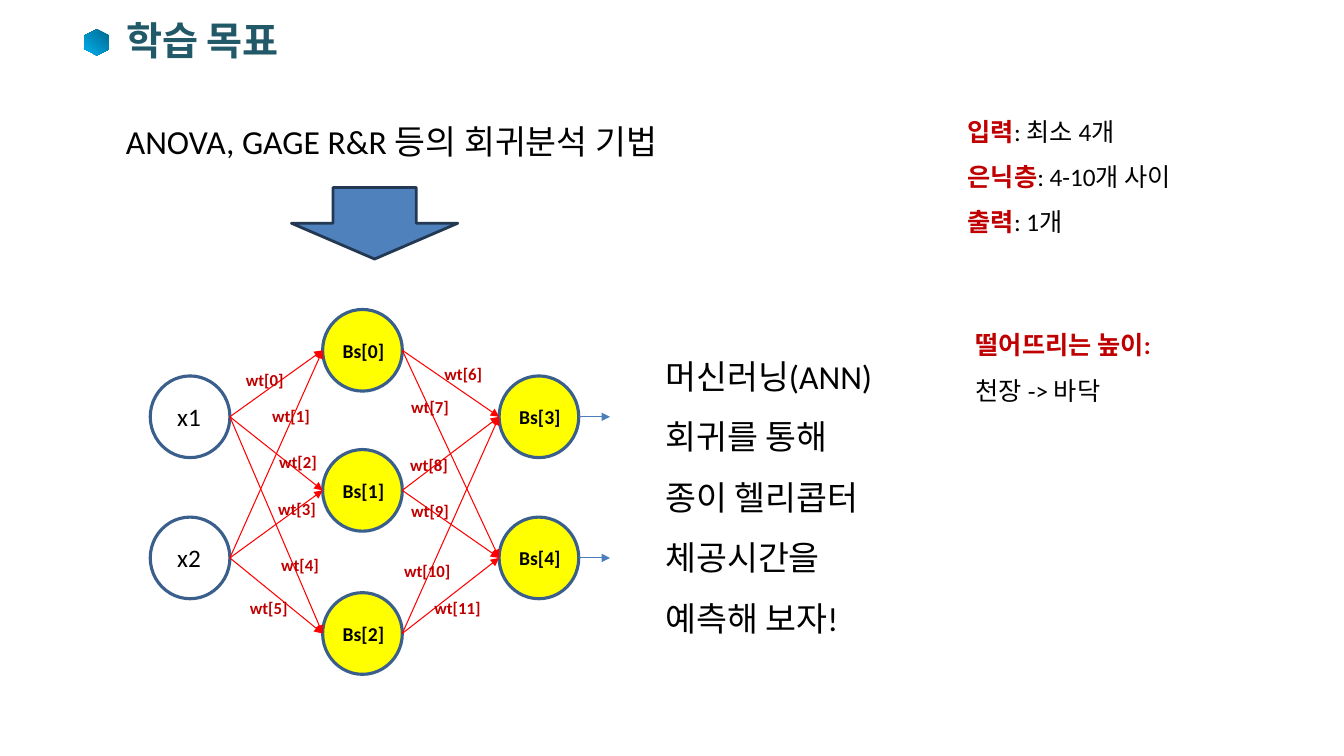
from itertools import product
from lxml.etree import SubElement
from pptx import Presentation
from pptx.dml.color import RGBColor
from pptx.enum.shapes import MSO_CONNECTOR, MSO_SHAPE
from pptx.enum.text import MSO_ANCHOR, MSO_AUTO_SIZE, PP_ALIGN
from pptx.oxml.ns import qn
from pptx.util import Inches, Pt

HUES = {"ink": "000000", "title": "215968", "key": "C00000", "wire": "FF0000",
        "out": "4B7EBC", "ring": "3A5F8C", "node": "FFFF00", "arrow": "4F81BD",
        "edge": "233953", "dark": "00688E", "light": "00B0F0"}
BODY, HEAD = "Calibri", "Noto Sans CJK KR"

TITLE = "학습 목표"
NOTES = [
    ((1.15, 1.15, 7.09, 0.5), 24, 1, [[("ANOVA, GAGE R&R 등의 회귀분석 기법", "ink")]]),
    ((6.5, 3.28, 2.68, 3.06), 24, 1.5, [
        [("머신러닝(ANN)", "ink")], [("회귀를 통해", "ink")], [("종이 헬리콥터", "ink")],
        [("체공시간을", "ink")], [("예측해 보자!", "ink")]]),
    ((9.5, 0.95, 2.67, 1.41), 18, 1.5, [
        [("입력", "key"), (": 최소 4개", "ink")],
        [("은닉층", "key"), (": 4-10개 사이", "ink")],
        [("출력", "key"), (": 1개", "ink")]]),
    ((9.58, 3.07, 2.67, 0.96), 18, 1.5, [
        [("떨어뜨리는 높이:", "key")], [("천장 -> 바닥", "ink")]]),
]
WIDE, HIGH = 0.79, 0.81
LAYERS = [
    (1.49, [3.73, 5.13], ["x1", "x2"]),
    (3.2, [3.07, 4.46, 5.88], ["Bs[0]", "Bs[1]", "Bs[2]"]),
    (4.95, [3.73, 5.13], ["Bs[3]", "Bs[4]"]),
]
WEIGHTS = [(2.34, 3.62), (2.6, 3.98), (2.67, 4.43), (2.66, 4.9), (2.69, 5.45), (2.38, 5.88),
           (4.31, 3.56), (3.98, 3.89), (3.97, 4.46), (3.98, 4.92), (3.91, 5.51), (4.21, 5.88)]

deck = Presentation()
deck.slide_width, deck.slide_height = Inches(13.33), Inches(7.5)
slide = deck.slides.add_slide(deck.slide_layouts[5])
shapes = slide.shapes


def hue(name):
    return RGBColor.from_string(HUES[name])


def inch(box):
    return [Inches(v) for v in box]


def write(para, text, size, color, bold=False, face=BODY):
    run = para.add_run()
    run.text = text
    font = run.font
    font.size, font.bold, font.name = Pt(size), bold, face
    font.color.rgb = hue(color)
    SubElement(font._element, qn("a:ea")).set("typeface", face)


def label(box, text, size, color="ink", bold=True):
    frame = shapes.add_textbox(*inch(box)).text_frame
    frame.word_wrap = True
    write(frame.paragraphs[0], text, size, color, bold)


def draw(kind, box, fill=None, line=None, width=0):
    part = shapes.add_shape(kind, *inch(box))
    part.shadow.inherit = False
    if fill:
        part.fill.solid()
        part.fill.fore_color.rgb = hue(fill)
    else:
        part.fill.background()
    if line:
        part.line.color.rgb = hue(line)
        part.line.width = Pt(width)
    else:
        part.line.fill.background()
    return part


def wire(start, end, color):
    link = shapes.add_connector(MSO_CONNECTOR.STRAIGHT, *inch(start + end))
    link.line.color.rgb = hue(color)
    link.line.width = Pt(0.75)
    SubElement(link.line._get_or_add_ln(), qn("a:tailEnd")).set("type", "triangle")
    SubElement(link._element.spPr, qn("a:effectLst"))


title = shapes.title
title.left, title.top, title.width, title.height = inch((1.15, 0.11, 11.5, 0.57))
frame = title.text_frame
frame.auto_size = MSO_AUTO_SIZE.NONE
frame.vertical_anchor = MSO_ANCHOR.MIDDLE
frame.paragraphs[0].alignment = PP_ALIGN.LEFT
write(frame.paragraphs[0], TITLE, 28, "title", True, HEAD)

gem = draw(MSO_SHAPE.HEXAGON, (0.83, 0.3, 0.26, 0.24))
gem.rotation = 90
gem.fill.gradient()
gem.fill.gradient_angle = 315
for stop, name in zip(gem.fill.gradient_stops, ("dark", "light")):
    stop.color.rgb = hue(name)

draw(MSO_SHAPE.DOWN_ARROW, (2.89, 1.86, 1.65, 0.71), "arrow", "edge", 2)

for rank, (left, tops, names) in enumerate(LAYERS):
    for top in tops:
        draw(MSO_SHAPE.OVAL, (left, top, WIDE, HIGH), "node" if rank else None, "ring", 2.25)

for (left, tops, _), (right, ends, _) in zip(LAYERS, LAYERS[1:]):
    for top, end in product(tops, ends):
        wire((left + WIDE, top + HIGH / 2), (right, end + HIGH / 2), "wire")

left, tops, _ = LAYERS[-1]
for top in tops:
    mid = top + HIGH / 2
    wire((left + WIDE, mid), (left + WIDE + 0.31, mid), "out")

for rank, (left, tops, names) in enumerate(LAYERS):
    for top, name in zip(tops, names):
        if rank:
            label((left + 0.1, top + 0.24, 0.69, 0.34), name, 14)
        else:
            label((left + 0.17, top + 0.2, 0.5, 0.4), name, 18, bold=False)

for index, (left, top) in enumerate(WEIGHTS):
    label((left, top, 0.69 if index < 10 else 0.81, 0.3), f"wt[{index}]", 12, "key")

for box, size, space, lines in NOTES:
    frame = shapes.add_textbox(*inch(box)).text_frame
    frame.word_wrap = True
    for index, runs in enumerate(lines):
        para = frame.add_paragraph() if index else frame.paragraphs[0]
        para.line_spacing = space
        for text, color in runs:
            write(para, text, size, color, color == "key")

deck.save("out.pptx")
